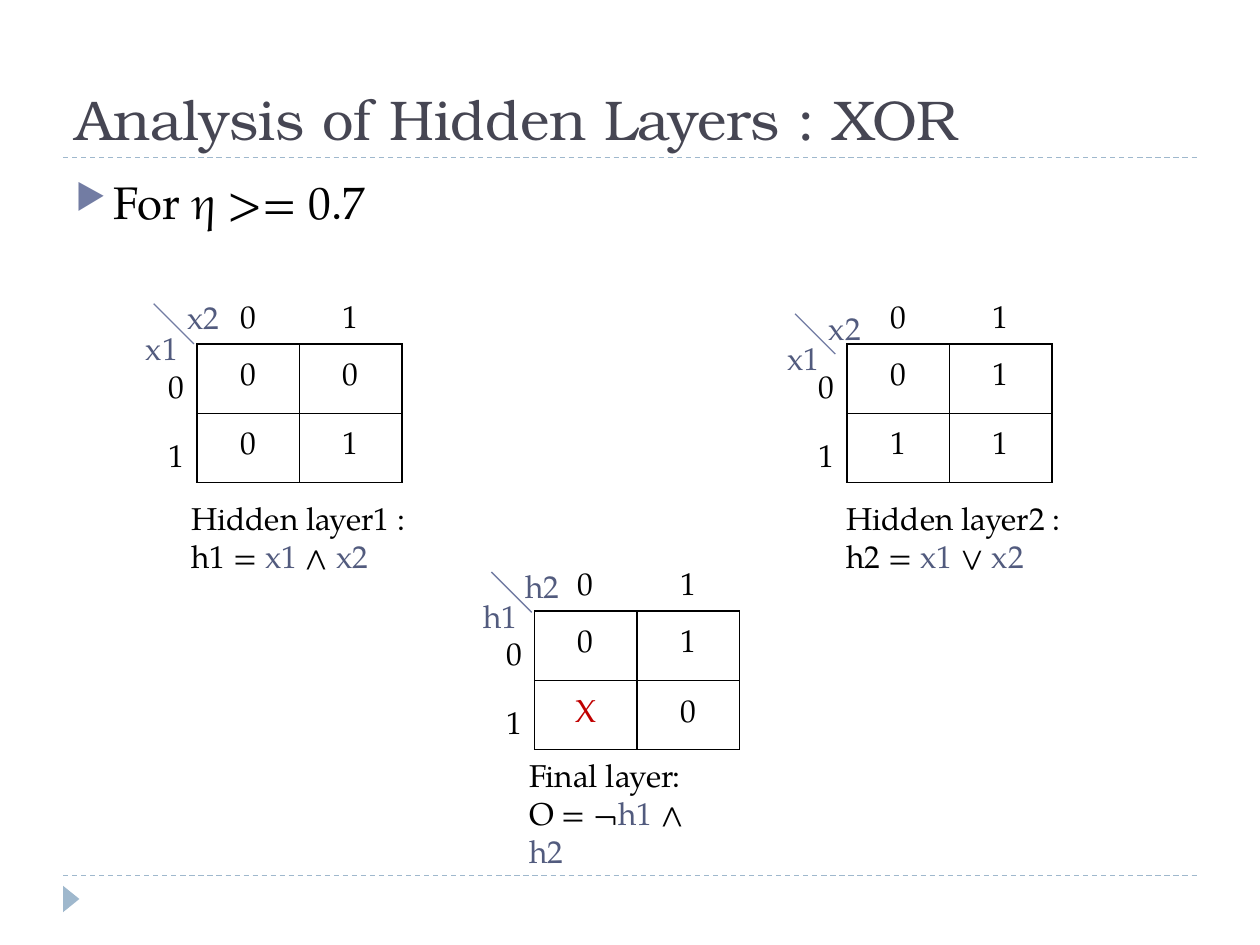
"""Build the slide that analyses the hidden layers of an XOR network."""
from dataclasses import dataclass

from lxml import etree
from pptx import Presentation
from pptx.dml.color import RGBColor
from pptx.enum.dml import MSO_LINE
from pptx.enum.shapes import MSO_CONNECTOR, MSO_SHAPE
from pptx.enum.text import MSO_ANCHOR, PP_ALIGN
from pptx.oxml.ns import qn
from pptx.util import Inches, Pt

BLACK = RGBColor(0x00, 0x00, 0x00)
RED = RGBColor(0xC0, 0x00, 0x00)
TITLE_GRAY = RGBColor(0x46, 0x46, 0x53)
ACCENT = RGBColor(0x72, 0x7C, 0xA3)
VARIABLE_BLUE = RGBColor(0x52, 0x5B, 0x7E)
RULE_BLUE = RGBColor(0x9F, 0xB8, 0xCD)
TITLE_FONT = "TeX Gyre Bonum"
BODY_FONT = "TeX Gyre Pagella"
STRAIGHT = MSO_CONNECTOR.STRAIGHT
TRIANGLE = MSO_SHAPE.ISOSCELES_TRIANGLE
DASH = MSO_LINE.DASH
LEFT, CENTER, RIGHT = PP_ALIGN.LEFT, PP_ALIGN.CENTER, PP_ALIGN.RIGHT
TOP, MIDDLE, BOTTOM = MSO_ANCHOR.TOP, MSO_ANCHOR.MIDDLE, MSO_ANCHOR.BOTTOM
COLUMN_WIDTH, ROW_HEIGHT = 0.813, 0.55


@dataclass(frozen=True)
class TruthTable:
    left: float
    top: float
    values: tuple[str, str]
    row_variable: str
    column_variable: str
    label_width: float
    corner: tuple[float, float]
    caption: str
    formula: tuple[str, str, str, str]
    caption_box: tuple[float, float, float, float]


TABLES = (
    TruthTable(0.75, 2.18, ("00", "01"), "x1", "x2", 0.46, (1.22, 2.41),
               "Hidden layer1 :", ("h1 = ", "x1 ", "∧ ", "x2"), (1.42, 3.91, 2, 0.71)),
    TruthTable(5.91, 2.18, ("01", "11"), "x1", "x2", 0.46, (6.31, 2.49),
               "Hidden layer2 :", ("h2 = ", "x1 ", "∨ ", "x2"), (6.62, 3.91, 2, 0.71)),
    TruthTable(3.43, 4.3, ("01", "X0"), "h1", "h2", 0.48, (3.9, 4.54),
               "Final layer:", ("O = ¬", "h1 ", "∧ ", "h2"), (4.1, 5.95, 1.65, 0.71)),
)


def write_text(paragraph, text: str, *, size: float = 18, font: str = BODY_FONT,
               color: RGBColor = BLACK, align: PP_ALIGN = LEFT) -> None:
    """Append a formatted run to a paragraph."""
    paragraph.alignment = align
    run = paragraph.add_run()
    run.text = text
    run.font.size = Pt(size)
    run.font.name = font
    run.font.color.rgb = color


def add_text_frame(slide, left: float, top: float, width: float, height: float,
                   wrap: bool = True, anchor: MSO_ANCHOR = TOP):
    """Add a text box and return its text frame."""
    box = slide.shapes.add_textbox(Inches(left), Inches(top), Inches(width), Inches(height))
    box.text_frame.word_wrap = wrap
    box.text_frame.vertical_anchor = anchor
    return box.text_frame


def add_line(slide, start: tuple[float, float], end: tuple[float, float],
             color: RGBColor, dash: MSO_LINE | None = None) -> None:
    """Draw a thin straight line without a shadow."""
    line = slide.shapes.add_connector(STRAIGHT, *map(Inches, start + end))
    line.line.color.rgb = color
    line.line.width = Pt(0.75)
    line.line.dash_style = dash
    etree.SubElement(line._element.spPr, qn("a:effectLst"))


def add_bullet(paragraph) -> None:
    """Give a paragraph a triangular bullet and a hanging indent."""
    properties = paragraph._p.get_or_add_pPr()
    properties.set("marL", str(Inches(0.3)))
    properties.set("indent", str(Inches(-0.3)))
    color = etree.SubElement(properties, qn("a:buClr"))
    etree.SubElement(color, qn("a:srgbClr"), val=str(ACCENT))
    etree.SubElement(properties, qn("a:buSzPct"), val="76000")
    etree.SubElement(properties, qn("a:buChar"), char="▶")


def set_borders(cell, row: int, column: int) -> None:
    """Draw only the cell edges that touch the value grid."""
    inside = row > 0 and column > 0
    edges = {"L": inside, "R": row > 0, "T": inside, "B": column > 0}
    properties = cell._tc.get_or_add_tcPr()
    for position, (side, visible) in enumerate(edges.items()):
        border = etree.Element(qn(f"a:ln{side}"), w=str(Pt(1)))
        if visible:
            fill = etree.SubElement(border, qn("a:solidFill"))
            etree.SubElement(fill, qn("a:srgbClr"), val=str(BLACK))
        else:
            etree.SubElement(border, qn("a:noFill"))
        properties.insert(position, border)


def add_grid(slide, truth: TruthTable) -> None:
    """Add the table with its header row, header column and values."""
    frame = slide.shapes.add_table(3, 3, Inches(truth.left), Inches(truth.top),
                                   Inches(3 * COLUMN_WIDTH), Inches(3 * ROW_HEIGHT))
    table = frame.table
    table.first_row = table.horz_banding = False
    for column in table.columns:
        column.width = Inches(COLUMN_WIDTH)
    rows = ((" 01"), *(f"{index}{values}" for index, values in enumerate(truth.values)))
    for row, texts in enumerate(rows):
        for column, text in enumerate(texts):
            cell = table.cell(row, column)
            cell.fill.background()
            cell.vertical_anchor = MIDDLE if row and column else BOTTOM
            set_borders(cell, row, column)
            if text.strip():
                write_text(cell.text_frame.paragraphs[0], text,
                           color=RED if text == "X" else BLACK,
                           align=CENTER if column else RIGHT)


def add_truth_table(slide, truth: TruthTable) -> None:
    """Add a table, its diagonal corner labels and its caption."""
    add_grid(slide, truth)
    left, top = truth.corner
    add_line(slide, truth.corner, (left + 0.32, top + 0.32), ACCENT)
    labels = ((truth.row_variable, -0.16, 0.15), (truth.column_variable, 0.17, -0.09))
    for text, across, down in labels:
        label = add_text_frame(slide, left + across, top + down, truth.label_width, 0.4, wrap=False)
        write_text(label.paragraphs[0], text, color=VARIABLE_BLUE)
    caption = add_text_frame(slide, *truth.caption_box)
    write_text(caption.paragraphs[0], truth.caption)
    formula = caption.add_paragraph()
    for index, part in enumerate(truth.formula):
        write_text(formula, part, color=VARIABLE_BLUE if index % 2 else BLACK)


def add_frame(slide) -> None:
    """Add the dashed rules and the corner triangle."""
    for height in (6.95, 1.25):
        add_line(slide, (0.5, height), (9.5, height), RULE_BLUE, DASH)
    marker = slide.shapes.add_shape(TRIANGLE, Inches(0.46), Inches(7.07), Inches(0.21), Inches(0.13))
    marker.rotation = 90
    marker.shadow.inherit = False
    marker.fill.solid()
    marker.fill.fore_color.rgb = RULE_BLUE
    marker.line.fill.background()


def main() -> None:
    """Build and save the presentation."""
    presentation = Presentation()
    presentation.slide_width, presentation.slide_height = Inches(10), Inches(7.5)
    slide = presentation.slides.add_slide(presentation.slide_layouts[6])
    add_frame(slide)
    title = add_text_frame(slide, 0.5, 0.17, 9, 1.08, anchor=BOTTOM)
    write_text(title.paragraphs[0], "Analysis of Hidden Layers : XOR",
               size=32, font=TITLE_FONT, color=TITLE_GRAY)
    condition = add_text_frame(slide, 0.5, 1.33, 9, 5.4).paragraphs[0]
    condition.space_before = Pt(6)
    add_bullet(condition)
    write_text(condition, "For η >= 0.7", size=26)
    for truth in TABLES:
        add_truth_table(slide, truth)
    presentation.save("out.pptx")


if __name__ == "__main__":
    main()
